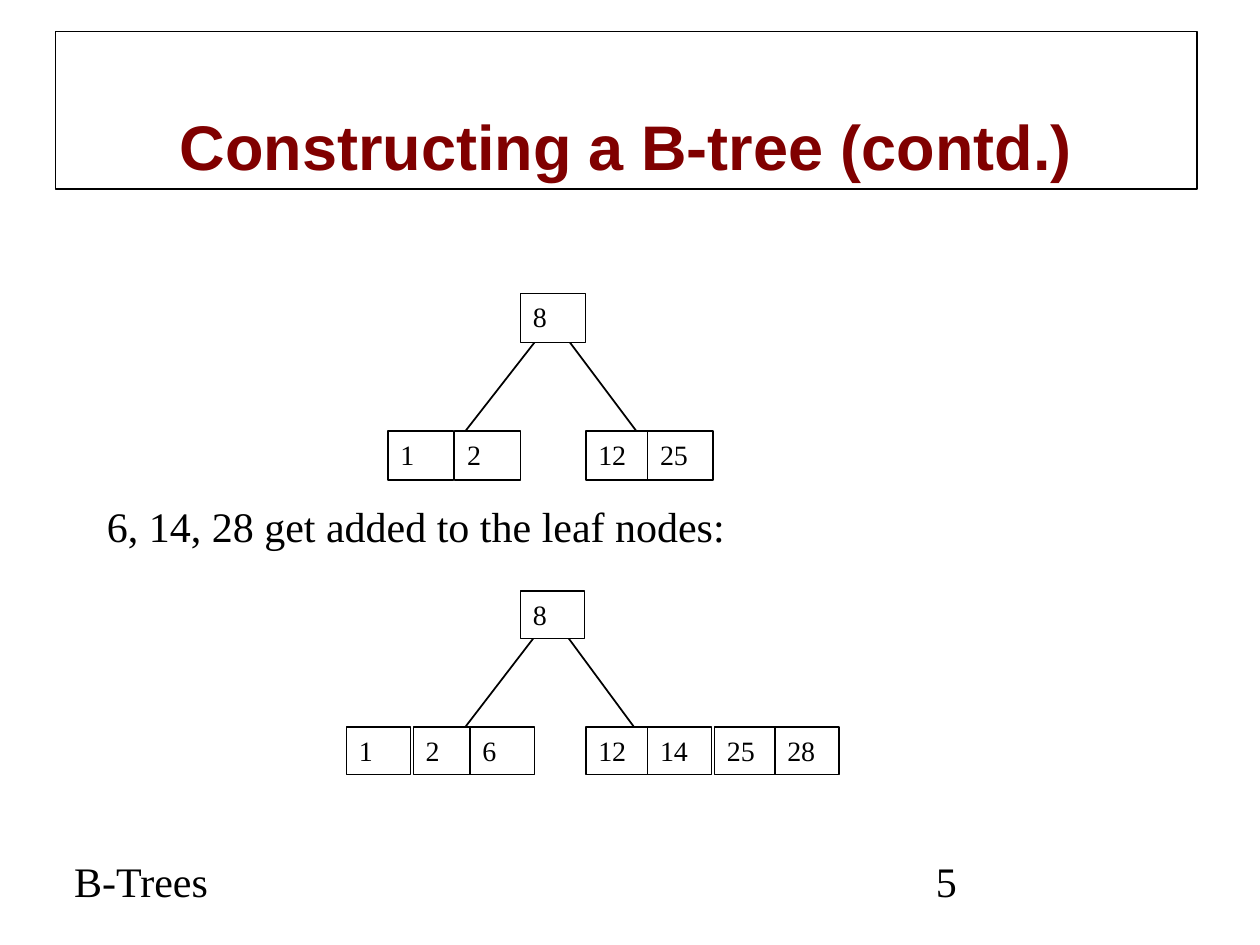
from lxml import etree
from pptx import Presentation
from pptx.dml.color import RGBColor
from pptx.enum.shapes import MSO_CONNECTOR, MSO_SHAPE
from pptx.enum.text import MSO_ANCHOR, MSO_AUTO_SIZE, PP_ALIGN
from pptx.oxml.ns import qn
from pptx.util import Inches, Pt

RECTANGLE = MSO_SHAPE.RECTANGLE
STRAIGHT = MSO_CONNECTOR.STRAIGHT
TOP, BOTTOM = MSO_ANCHOR.TOP, MSO_ANCHOR.BOTTOM
LEFT, CENTER = PP_ALIGN.LEFT, PP_ALIGN.CENTER
BLACK, WHITE, MAROON = "000000", "FFFFFF", "800000"

# Content: text boxes as (text, box, anchor)
TITLE = "Constructing a B-tree (contd.)"
TITLE_BOX = (0.44, 0.25, 9.06, 1.25)
TEXTS = [
    ("6, 14, 28 get added to the leaf nodes:", (0.75, 3.92, 8.57, 0.5), TOP),
    ("B-Trees", (0.49, 6.75, 2.99, 0.49), BOTTOM),
    ("5", (7.33, 6.75, 2.07, 0.49), BOTTOM),
]

# Trees: each key with its left edge; branches as (from x, to x)
ROOT = ("8", 4.13)
TREES = [
    {
        "root_top": 2.33, "leaf_top": 3.42, "cell": (0.52, 0.39),
        "leaves": [("1", 3.08), ("2", 3.61), ("12", 4.65), ("25", 5.14)],
        "branches": [(4.35, 3.57), (4.42, 5.17)], "branch_y": (2.58, 3.58),
    },
    {
        "root_top": 4.69, "leaf_top": 5.77, "cell": (0.51, 0.38),
        "leaves": [("1", 2.75), ("2", 3.28), ("6", 3.73), ("12", 4.65),
                   ("14", 5.14), ("25", 5.67), ("28", 6.15)],
        "branches": [(4.33, 3.57), (4.42, 5.15)], "branch_y": (4.94, 5.93),
    },
]


def color(value):
    return RGBColor.from_string(value)


def inches(values):
    return [Inches(value) for value in values]


def write(shape, text, size=24, font="Times New Roman", fill=BLACK,
          bold=False, align=LEFT, anchor=TOP):
    frame = shape.text_frame
    frame.word_wrap = True
    frame.auto_size = MSO_AUTO_SIZE.NONE
    frame.vertical_anchor = anchor
    paragraph = frame.paragraphs[0]
    paragraph.alignment = align
    run = paragraph.add_run()
    run.text = text
    run.font.size, run.font.name, run.font.bold = Pt(size), font, bold
    run.font.color.rgb = color(fill)


def outline(shape, width=0.75):
    shape.line.color.rgb = color(BLACK)
    shape.line.width = Pt(width)


def add_branch(slide, start_x, start_y, end_x, end_y):
    branch = slide.shapes.add_connector(
        STRAIGHT, *inches((start_x, start_y, end_x, end_y)))
    outline(branch, 1)
    etree.SubElement(branch._element.spPr, qn("a:effectLst"))


def add_cell(slide, key, left, top, size):
    cell = slide.shapes.add_shape(RECTANGLE, *inches((left, top, *size)))
    cell.shadow.inherit = False
    cell.fill.solid()
    cell.fill.fore_color.rgb = color(WHITE)
    outline(cell)
    write(cell, key, size=16)


def add_tree(slide, tree):
    # Branches go first so that the cells cover their ends
    start_y, end_y = tree["branch_y"]
    for start_x, end_x in tree["branches"]:
        add_branch(slide, start_x, start_y, end_x, end_y)
    add_cell(slide, *ROOT, tree["root_top"], tree["cell"])
    for key, left in tree["leaves"]:
        add_cell(slide, key, left, tree["leaf_top"], tree["cell"])


def main():
    presentation = Presentation()
    presentation.slide_width, presentation.slide_height = inches((10, 7.5))
    slide = presentation.slides.add_slide(presentation.slide_layouts[5])

    # Title
    title = slide.shapes.title
    title.left, title.top, title.width, title.height = inches(TITLE_BOX)
    outline(title)
    write(title, TITLE, size=36, font="Arial", fill=MAROON, bold=True,
          align=CENTER, anchor=BOTTOM)

    # Trees
    for tree in TREES:
        add_tree(slide, tree)

    # Caption and footer
    for text, box, anchor in TEXTS:
        write(slide.shapes.add_textbox(*inches(box)), text, anchor=anchor)

    presentation.save("out.pptx")


if __name__ == "__main__":
    main()
